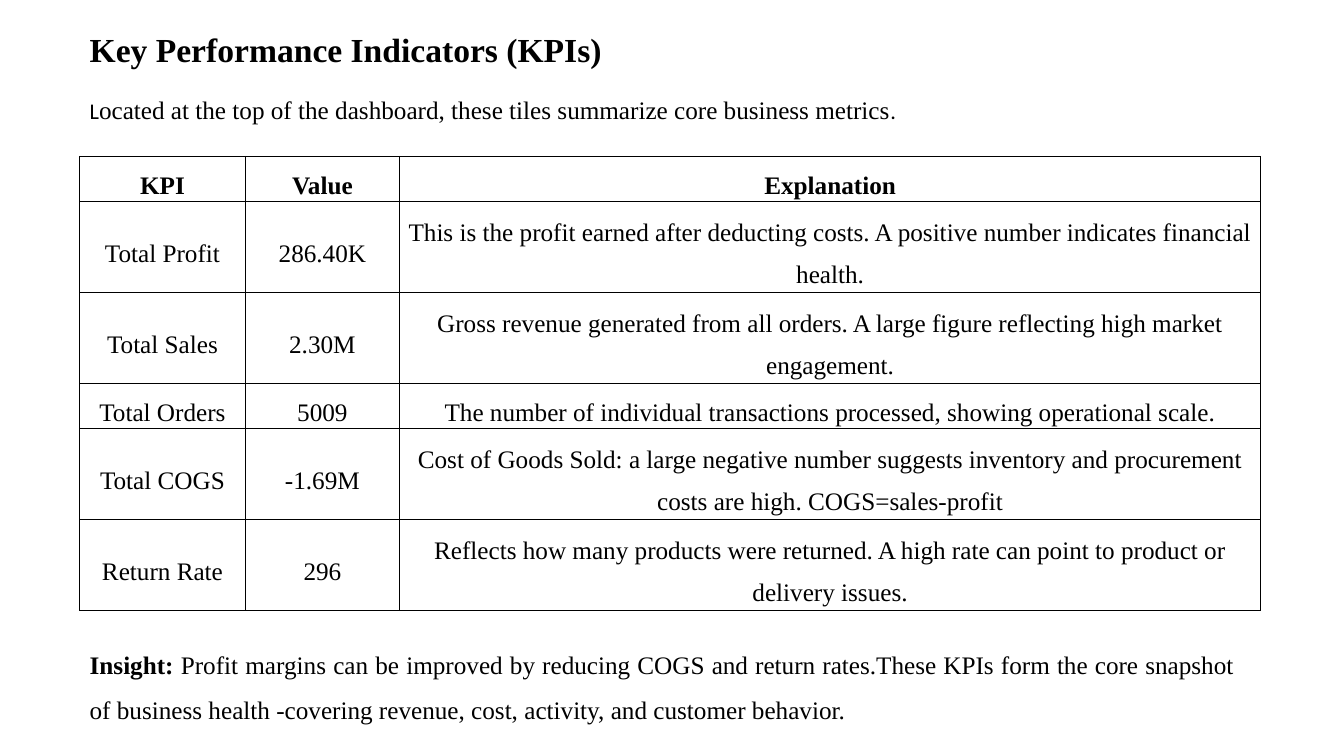
"""Build the Key Performance Indicators slide with its table and insight."""
from lxml import etree
from pptx import Presentation
from pptx.dml.color import RGBColor
from pptx.enum.text import MSO_ANCHOR, PP_ALIGN
from pptx.oxml.ns import qn
from pptx.util import Cm, Pt

BLACK = RGBColor(0, 0, 0)
SERIF, SANS = "Times New Roman", "Calibri"
CENTER, JUSTIFY, LEFT = PP_ALIGN.CENTER, PP_ALIGN.JUSTIFY, PP_ALIGN.LEFT
MIDDLE = MSO_ANCHOR.MIDDLE
MARGIN = Cm(2.01)
LINE_HEIGHT = 1.14
COLUMN_WIDTHS = (4.17, 3.89, 21.7)
ROW_LINES = (1, 2, 2, 1, 2, 2)
KPI_ROWS = (
    ("KPI", "Value", "Explanation"),
    ("Total Profit", "286.40K",
     "This is the profit earned after deducting costs. "
     "A positive number indicates financial health."),
    ("Total Sales", "2.30M",
     "Gross revenue generated from all orders. "
     "A large figure reflecting high market engagement."),
    ("Total Orders", "5009",
     "The number of individual transactions processed, showing operational scale."),
    ("Total COGS", "-1.69M",
     "Cost of Goods Sold: a large negative number suggests inventory and "
     "procurement costs are high. COGS=sales-profit"),
    ("Return Rate", "296",
     "Reflects how many products were returned. "
     "A high rate can point to product or delivery issues."),
)


def style_font(font, size=18, name=SERIF, bold=False):
    """Set the size, typeface, weight and black colour of a font."""
    font.size = Pt(size)
    font.name = name
    font.bold = bold
    font.color.rgb = BLACK


def add_text_frame(slide, top, width, height):
    """Add a wrapping text box at the left margin and return its frame."""
    text_box = slide.shapes.add_textbox(MARGIN, Cm(top), Cm(width), Cm(height))
    text_box.text_frame.word_wrap = True
    return text_box.text_frame


def add_run(paragraph, text, **style):
    """Append one styled run to a paragraph."""
    run = paragraph.add_run()
    run.text = text
    style_font(run.font, **style)


def add_heading(slide):
    """Add the title and its introductory sentence."""
    frame = add_text_frame(slide, 0.61, 29, 2.72)
    title = frame.paragraphs[0]
    title.text = "Key Performance Indicators (KPIs)"
    title.alignment = LEFT
    title.space_after = Pt(18)
    style_font(title.font, size=24, bold=True)
    introduction = frame.add_paragraph()
    add_run(introduction, "L", size=16, name=SANS)
    add_run(introduction, "ocated at the top of the dashboard, "
            "these tiles summarize core business metrics")
    add_run(introduction, ".", size=16, name=SANS)


def add_borders(cell):
    """Draw a thin black line on all four sides of a cell."""
    properties = cell._tc.get_or_add_tcPr()
    for side in ("a:lnL", "a:lnR", "a:lnT", "a:lnB"):
        line = etree.SubElement(properties, qn(side), w=str(Pt(1)))
        fill = etree.SubElement(line, qn("a:solidFill"))
        etree.SubElement(fill, qn("a:srgbClr"), val=str(BLACK))


def fill_cell(cell, text, bold):
    """Write centred text into an unfilled, bordered cell."""
    add_borders(cell)
    cell.fill.background()
    cell.margin_left = cell.margin_right = cell.margin_top = cell.margin_bottom = 0
    cell.vertical_anchor = MIDDLE
    paragraph = cell.text_frame.paragraphs[0]
    paragraph.text = text
    paragraph.alignment = CENTER
    paragraph.line_spacing = 1.5
    style_font(paragraph.font, bold=bold)


def add_kpi_table(slide):
    """Add the table of indicators, values and explanations."""
    table = slide.shapes.add_table(
        len(KPI_ROWS), len(COLUMN_WIDTHS), MARGIN, Cm(3.94),
        Cm(sum(COLUMN_WIDTHS)), Cm(LINE_HEIGHT * sum(ROW_LINES))).table
    table.horz_banding = False
    for column, width in zip(table.columns, COLUMN_WIDTHS):
        column.width = Cm(width)
    for row_index, (row, lines) in enumerate(zip(table.rows, ROW_LINES)):
        row.height = Cm(LINE_HEIGHT * lines)
        for cell, text in zip(row.cells, KPI_ROWS[row_index]):
            fill_cell(cell, text, bold=row_index == 0)


def add_insight(slide):
    """Add the justified insight below the table."""
    frame = add_text_frame(slide, 14.73, 29.36, 3.12)
    frame.margin_top = Cm(1.24)
    paragraph = frame.paragraphs[0]
    paragraph.alignment = JUSTIFY
    paragraph.line_spacing = 1.5
    add_run(paragraph, "Insight: ", bold=True)
    add_run(paragraph, "Profit margins can be improved by reducing COGS and return "
            "rates.These KPIs form the core snapshot of business health "
            "-covering revenue, cost, activity, and customer behavior.")


def main():
    """Create the slide and save the presentation."""
    presentation = Presentation()
    presentation.slide_width = Cm(33.87)
    presentation.slide_height = Cm(19.05)
    slide = presentation.slides.add_slide(presentation.slide_layouts[6])
    add_heading(slide)
    add_kpi_table(slide)
    add_insight(slide)
    presentation.save("out.pptx")


if __name__ == "__main__":
    main()
